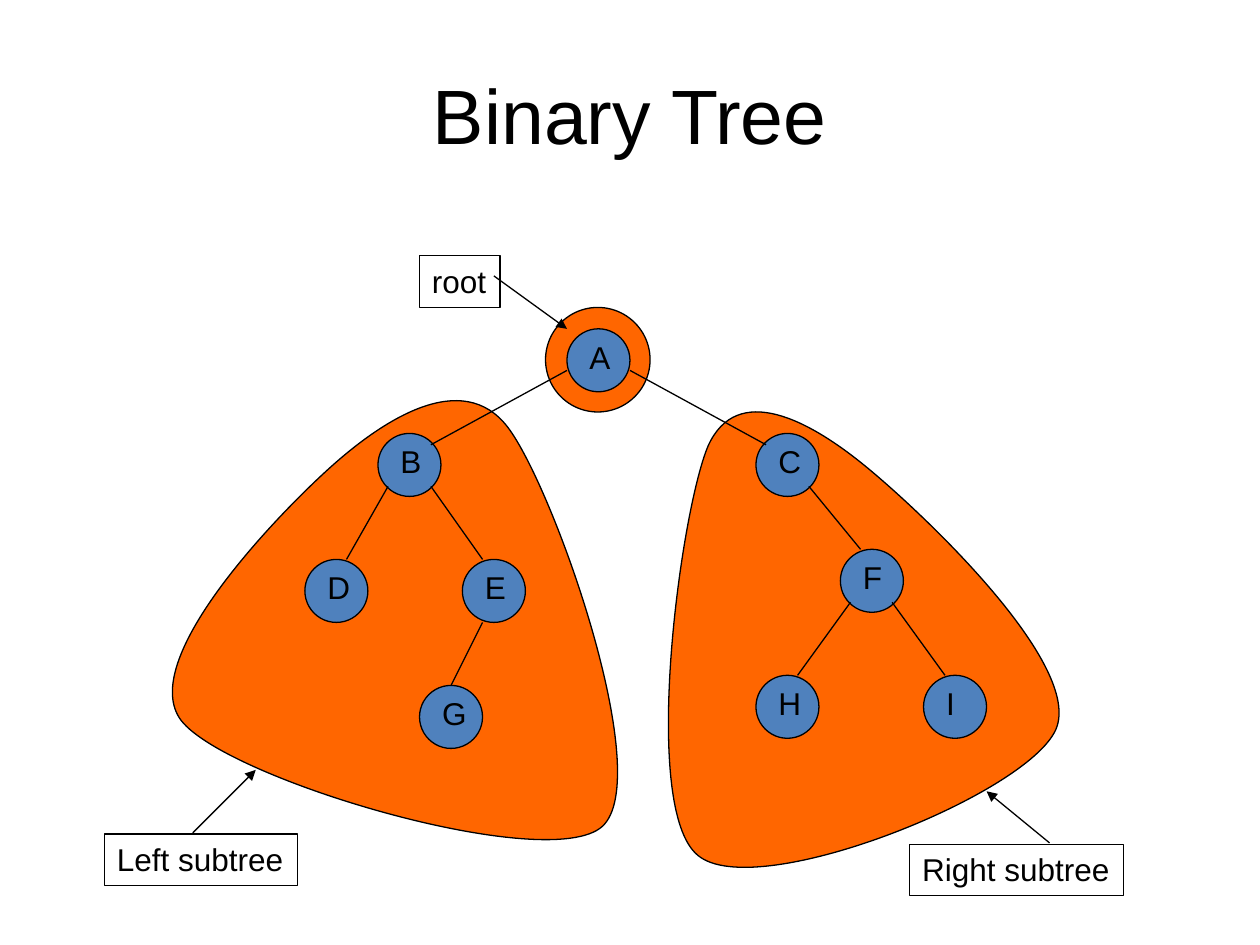
import pptx
import pptx.util
import pptx.dml.color
import pptx.enum.shapes
import pptx.enum.text
import pptx.oxml.ns
from lxml import etree

Inches = pptx.util.Inches
Pt = pptx.util.Pt
Kind = pptx.enum.shapes.MSO_SHAPE
Align = pptx.enum.text.PP_ALIGN
Anchor = pptx.enum.text.MSO_ANCHOR
Fit = pptx.enum.text.MSO_AUTO_SIZE
qn = pptx.oxml.ns.qn


def color(code):
    return pptx.dml.color.RGBColor.from_string(code)


class Page:
    font = "Arial"
    ink = "000000"
    area = "FF6600"
    node_fill = "4F81BD"
    size = 0.5

    def __init__(self, slide):
        self.slide = slide
        self.shapes = slide.shapes

    def edge(self, line):
        line.color.rgb = color(self.ink)
        line.width = Pt(0.75)

    def paint(self, shape, fill):
        shape.shadow.inherit = False
        shape.fill.solid()
        shape.fill.fore_color.rgb = color(fill)
        self.edge(shape.line)

    def text(self, words, x, y, w, h, size=18, wrap=True):
        box = self.shapes.add_textbox(Inches(x), Inches(y), Inches(w), Inches(h))
        frame = box.text_frame
        frame.text = words
        frame.word_wrap = wrap
        frame.auto_size = Fit.SHAPE_TO_FIT_TEXT
        font = frame.paragraphs[0].runs[0].font
        font.name = self.font
        font.size = Pt(size)
        font.color.rgb = color(self.ink)
        return box

    def title(self, words):
        frame = self.text(words, 0.5, 0.4, 9, 1, size=44).text_frame
        frame.auto_size = Fit.NONE
        frame.vertical_anchor = Anchor.MIDDLE
        frame.paragraphs[0].alignment = Align.CENTER

    def label(self, words, x, y, w):
        self.edge(self.text(words, x, y, w, 0.41, wrap=False).line)

    def disc(self, x, y, size, fill):
        shape = self.shapes.add_shape(
            Kind.OVAL, Inches(x), Inches(y), Inches(size), Inches(size))
        self.paint(shape, fill)

    def node(self, name, x, y):
        self.disc(x, y, self.size, self.node_fill)
        wide = 0.42 if name in "DGI" else 0.33
        self.text(name, x + 0.08, y + 0.02, wide, 0.4)

    def region(self, start, points):
        """Closed outline; every three points make one Bezier curve."""
        pen = self.shapes.build_freeform(
            Inches(start[0]), Inches(start[1]))
        pen.add_line_segments([(Inches(x), Inches(y)) for x, y in points])
        shape = pen.convert_to_shape()
        lines = list(shape.element.iter(qn("a:lnTo")))
        for i in range(0, len(lines), 3):
            curve = etree.Element(qn("a:cubicBezTo"))
            lines[i].addprevious(curve)
            for line in lines[i:i + 3]:
                curve.append(line[0])
                line.getparent().remove(line)
        self.paint(shape, self.area)

    def line(self, start, end, arrow=False):
        link = self.shapes.add_connector(
            pptx.enum.shapes.MSO_CONNECTOR.STRAIGHT,
            *[Inches(v) for v in start + end])
        self.edge(link.line)
        props = link.element.spPr
        if arrow:
            tail = etree.SubElement(props.find(qn("a:ln")), qn("a:tailEnd"))
            tail.set("type", "triangle")
        etree.SubElement(props, qn("a:effectLst"))


def main():
    deck = pptx.Presentation()
    deck.slide_width = Inches(10)
    deck.slide_height = Inches(7.5)
    page = Page(deck.slides.add_slide(deck.slide_layouts[6]))

    # Areas behind the right subtree, the left subtree and the root
    page.region((5.62, 3.54), [
        (5.4, 4.06), (5.08, 6.42), (5.54, 6.79),
        (6, 7.17), (8.15, 6.31), (8.38, 5.79),
        (8.6, 5.28), (7.33, 4.08), (6.88, 3.71),
        (6.42, 3.33), (5.85, 3.03), (5.62, 3.54)])
    page.region((4.03, 3.39), [
        (3.67, 2.92), (3.04, 3.33), (2.61, 3.72),
        (2.18, 4.11), (1.08, 5.25), (1.44, 5.72),
        (1.81, 6.19), (4.35, 6.94), (4.78, 6.56),
        (5.21, 6.17), (4.39, 3.86), (4.03, 3.39)])
    page.disc(4.33, 2.44, 0.83, page.area)

    page.title("Binary Tree")

    # Nodes
    nodes = {
        "A": (4.5, 2.61), "B": (3, 3.44), "D": (2.42, 4.44),
        "H": (6, 5.36), "C": (6, 3.44), "E": (3.67, 4.44),
        "F": (6.67, 4.36), "G": (3.33, 5.44), "I": (7.33, 5.36)}
    for name, (x, y) in nodes.items():
        page.node(name, x, y)

    # Edges: parent, child, then the offset within each node
    edges = [
        ("A", "B", (0, 0.33), (0.42, 0.09)),
        ("A", "C", (0.5, 0.33), (0.08, 0.09)),
        ("B", "D", (0.08, 0.42), (0.33, 0)),
        ("B", "E", (0.42, 0.42), (0.16, 0)),
        ("E", "G", (0.16, 0.5), (0.25, 0)),
        ("C", "F", (0.42, 0.42), (0.16, 0)),
        ("F", "H", (0.08, 0.42), (0.33, 0)),
        ("F", "I", (0.41, 0.42), (0.17, 0))]
    for top, low, out, into in edges:
        (x1, y1), (x2, y2) = nodes[top], nodes[low]
        page.line((x1 + out[0], y1 + out[1]), (x2 + into[0], y2 + into[1]))

    # Labels and their arrows
    page.label("Left subtree", 0.83, 6.62, 1.53)
    page.label("root", 3.33, 2.03, 0.64)
    page.label("Right subtree", 7.22, 6.7, 1.7)
    page.line((1.53, 6.61), (2.03, 6.11), arrow=True)
    page.line((8.33, 6.69), (7.83, 6.28), arrow=True)
    page.line((3.92, 2.19), nodes["A"], arrow=True)

    deck.save("out.pptx")


if __name__ == "__main__":
    main()
